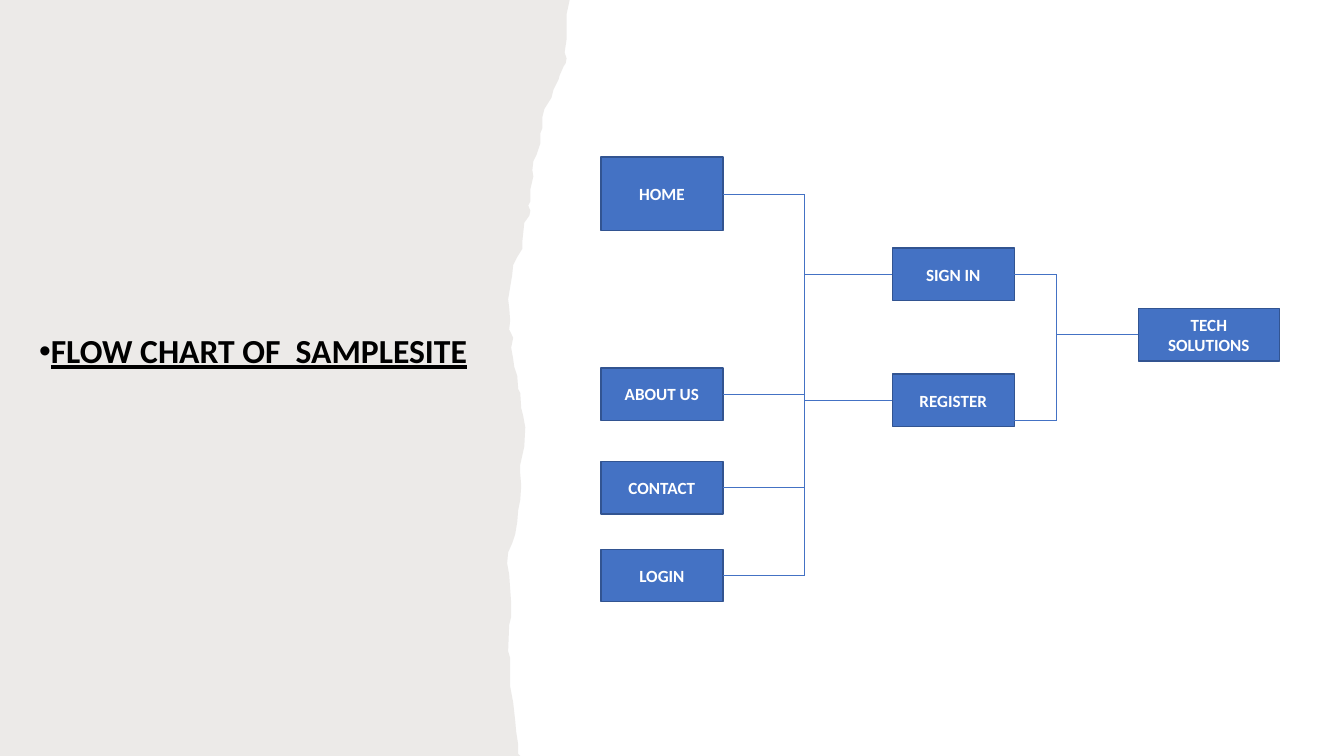
from lxml import etree
from pptx import Presentation
from pptx.dml.color import RGBColor
from pptx.enum.shapes import MSO_CONNECTOR as Link, MSO_SHAPE as Preset
from pptx.enum.text import MSO_ANCHOR as Anchor, PP_ALIGN as Align
from pptx.oxml.ns import qn
from pptx.util import Inches, Pt

BLUE, NAVY, STONE, WHITE, BLACK = "4472C4", "325491", "82766A", "FFFFFF", "000000"
RIGHT_SIDE, LEFT_SIDE = 3, 1
NODE_WIDTH, NODE_HEIGHT = 1.21, 0.52

TORN_EDGE = [
    (565, 0), (562, 14), (562, 39), (560, 52), (562, 58), (561, 63), (559, 66),
    (555, 75), (554, 79), (549, 89), (547, 97), (540, 108), (538, 116), (538, 127),
    (536, 132), (536, 142), (532, 154), (529, 160), (528, 169), (529, 175),
    (526, 188), (526, 200), (524, 204), (526, 209), (525, 214), (520, 221),
    (519, 231), (518, 240), (518, 247), (513, 255), (509, 263), (508, 273),
    (506, 285), (504, 297), (505, 305), (506, 318), (505, 327), (509, 335),
    (507, 345), (509, 356), (510, 364), (513, 373), (514, 386), (516, 390),
    (517, 405), (519, 413), (521, 424), (520, 443), (516, 461), (516, 470),
    (517, 482), (516, 496), (514, 506), (513, 518), (511, 530), (508, 539),
    (504, 548), (503, 559), (505, 570), (507, 598), (507, 612), (505, 620),
    (504, 646), (506, 653), (506, 681), (509, 697), (511, 715), (512, 726),
    (514, 739), (514, 748), (516, 750),
]


def color(code):
    """Turn a hex string into a colour."""
    return RGBColor.from_string(code)


def write(shape, text, size=12.2, ink=WHITE, underline=None, align=Align.CENTER,
          anchor=Anchor.MIDDLE, line_spacing=None):
    """Put one bold paragraph into a shape and return the paragraph."""
    frame = shape.text_frame
    frame.word_wrap = True
    frame.vertical_anchor = anchor
    paragraph = frame.paragraphs[0]
    paragraph.alignment = align
    paragraph.space_after = Pt(6)
    paragraph.line_spacing = line_spacing
    run = paragraph.add_run()
    run.text = text
    run.font.name = "Calibri"
    run.font.size = Pt(size)
    run.font.bold = True
    run.font.underline = underline
    run.font.color.rgb = color(ink)
    return paragraph


def torn_panel(slide, left, top):
    """Draw the translucent panel with the torn right edge."""
    builder = slide.shapes.build_freeform(0, 0, scale=Inches(0.01))
    builder.add_line_segments(TORN_EDGE + [(0, 750)], close=True)
    panel = builder.convert_to_shape(Inches(left), Inches(top))
    panel.shadow.inherit = False
    panel.fill.solid()
    panel.fill.fore_color.rgb = color(STONE)
    panel.line.fill.background()
    tint = panel.fill._xPr.find(".//" + qn("a:srgbClr"))
    etree.SubElement(tint, qn("a:alpha")).set("val", "15000")


def heading(slide, left, top, width, height):
    """Write the bulleted heading."""
    title = slide.shapes.add_textbox(*map(Inches, (left, top, width, height)))
    paragraph = write(title, "FLOW CHART OF  SAMPLESITE", size=24, ink=BLACK,
                      underline=True, align=Align.LEFT, anchor=Anchor.TOP,
                      line_spacing=0.9)
    properties = paragraph._p.get_or_add_pPr()
    properties.set("marL", "0")
    properties.set("indent", str(-Inches(0.25)))
    etree.SubElement(properties, qn("a:buFont")).set("typeface", "Arial")
    etree.SubElement(properties, qn("a:buChar")).set("char", "•")


def node(slide, text, left, top, width=NODE_WIDTH, height=NODE_HEIGHT):
    """Draw one labelled box of the flow chart."""
    box = slide.shapes.add_shape(Preset.RECTANGLE,
                                 *map(Inches, (left, top, width, height)))
    box.shadow.inherit = False
    box.fill.solid()
    box.fill.fore_color.rgb = color(BLUE)
    box.line.color.rgb = color(NAVY)
    box.line.width = Pt(1)
    write(box, text)
    return box


def wire(slide, x1, y1, x2, y2):
    """Draw one thin straight line."""
    line = slide.shapes.add_connector(Link.STRAIGHT, *map(Inches, (x1, y1, x2, y2)))
    line.line.color.rgb = color(BLUE)
    line.line.width = Pt(0.5)
    etree.SubElement(line._element.spPr, qn("a:effectLst"))
    return line


def flow_chart(slide, left, top):
    """Draw pages, account steps and the result, joined by two trunks."""
    trunk, account, merge, result = (left + dx for dx in (2.02, 2.89, 4.52, 5.33))

    pages = [("HOME", 0, 0.73), ("ABOUT US", 2.09, NODE_HEIGHT),
             ("CONTACT", 3.02, NODE_HEIGHT), ("LOGIN", 3.89, NODE_HEIGHT)]
    page_levels = []
    for name, dy, height in pages:
        level = top + dy + height / 2
        page = node(slide, name, left, top + dy, height=height)
        wire(slide, left + NODE_WIDTH, level, trunk, level).begin_connect(page, RIGHT_SIDE)
        page_levels.append(level)
    wire(slide, trunk, page_levels[0], trunk, page_levels[-1])

    steps = []
    for name, dy in (("SIGN IN", 0.9), ("REGISTER", 2.15)):
        level = top + dy + NODE_HEIGHT / 2
        step = node(slide, name, account, top + dy)
        wire(slide, trunk, level, account, level).end_connect(step, LEFT_SIDE)
        steps.append((step, level))

    sign_in, upper = steps[0]
    lower = steps[1][1] + 0.2
    outlet = account + NODE_WIDTH
    wire(slide, outlet, upper, merge, upper).begin_connect(sign_in, RIGHT_SIDE)
    wire(slide, outlet, lower, merge, lower)
    wire(slide, merge, upper, merge, lower)

    result_top = top + 1.5
    level = result_top + NODE_HEIGHT / 2
    solutions = node(slide, "TECH SOLUTIONS", result, result_top, width=1.4)
    wire(slide, merge, level, result, level).end_connect(solutions, LEFT_SIDE)


def main():
    """Build the slide and save it."""
    deck = Presentation()
    deck.slide_width, deck.slide_height = Inches(13.33), Inches(7.5)
    slide = deck.slides.add_slide(deck.slide_layouts[6])
    torn_panel(slide, 0, 0)
    heading(slide, 0.29, 3.27, 4.8, 0.9)
    flow_chart(slide, 5.96, 1.56)
    deck.save("out.pptx")


if __name__ == "__main__":
    main()
